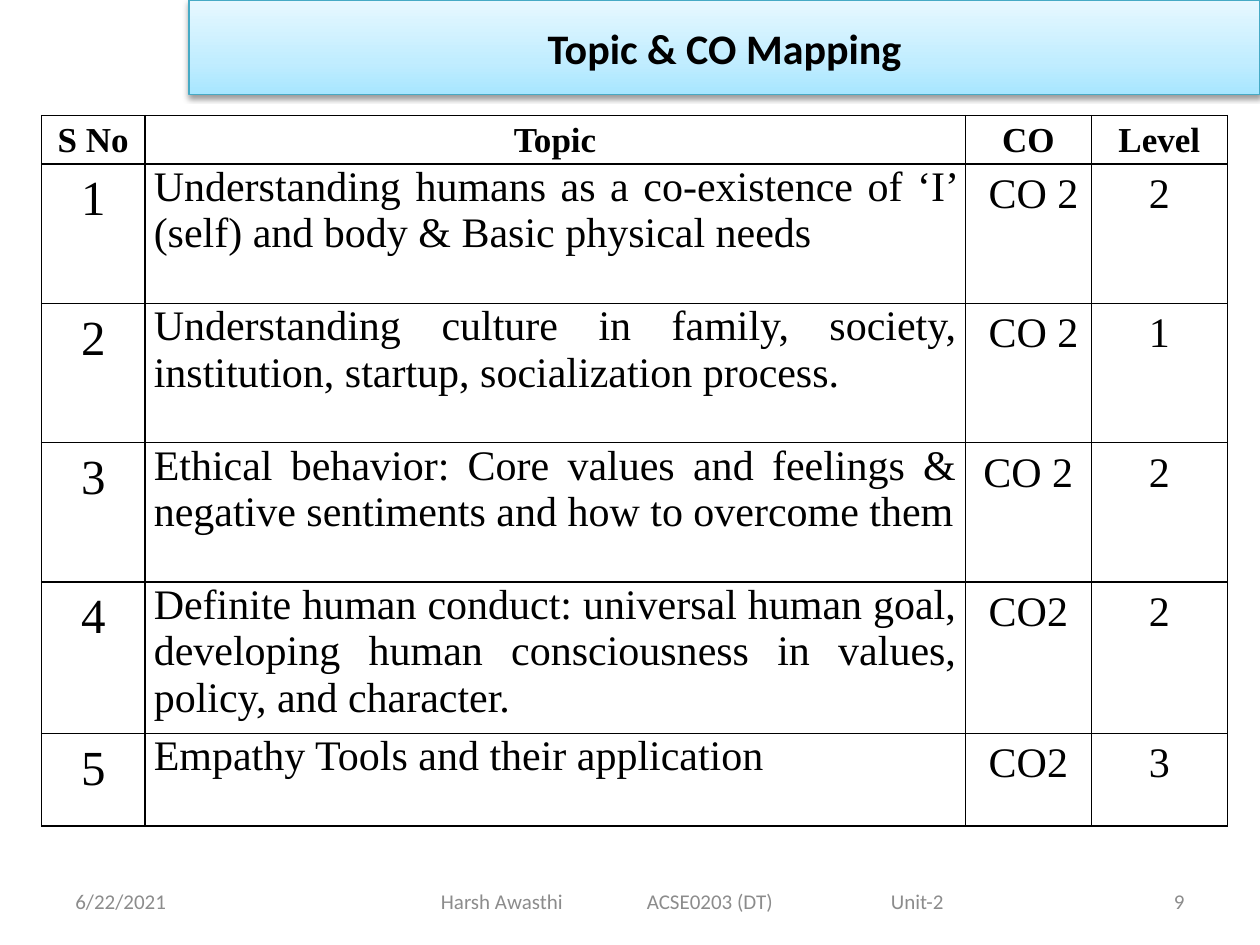
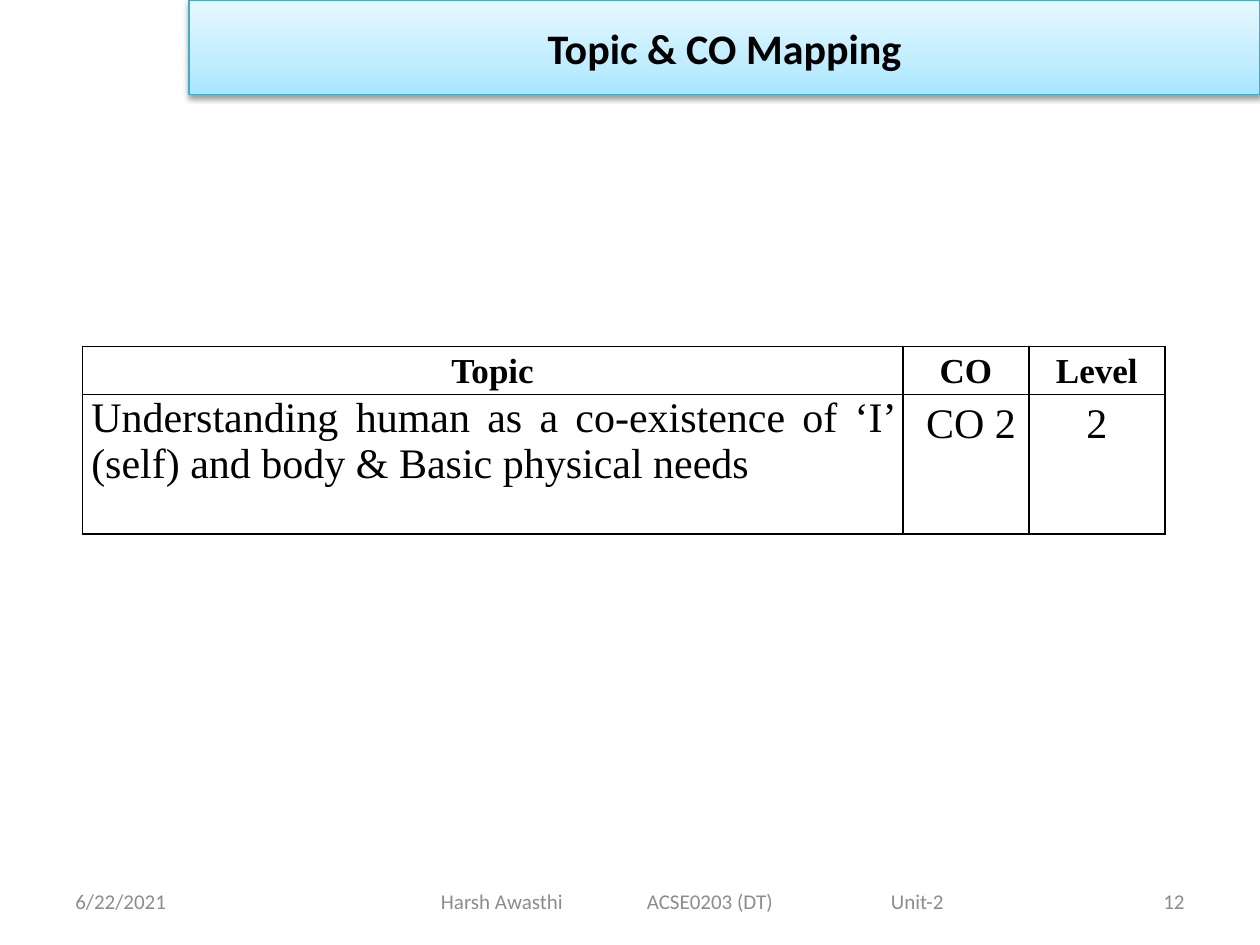
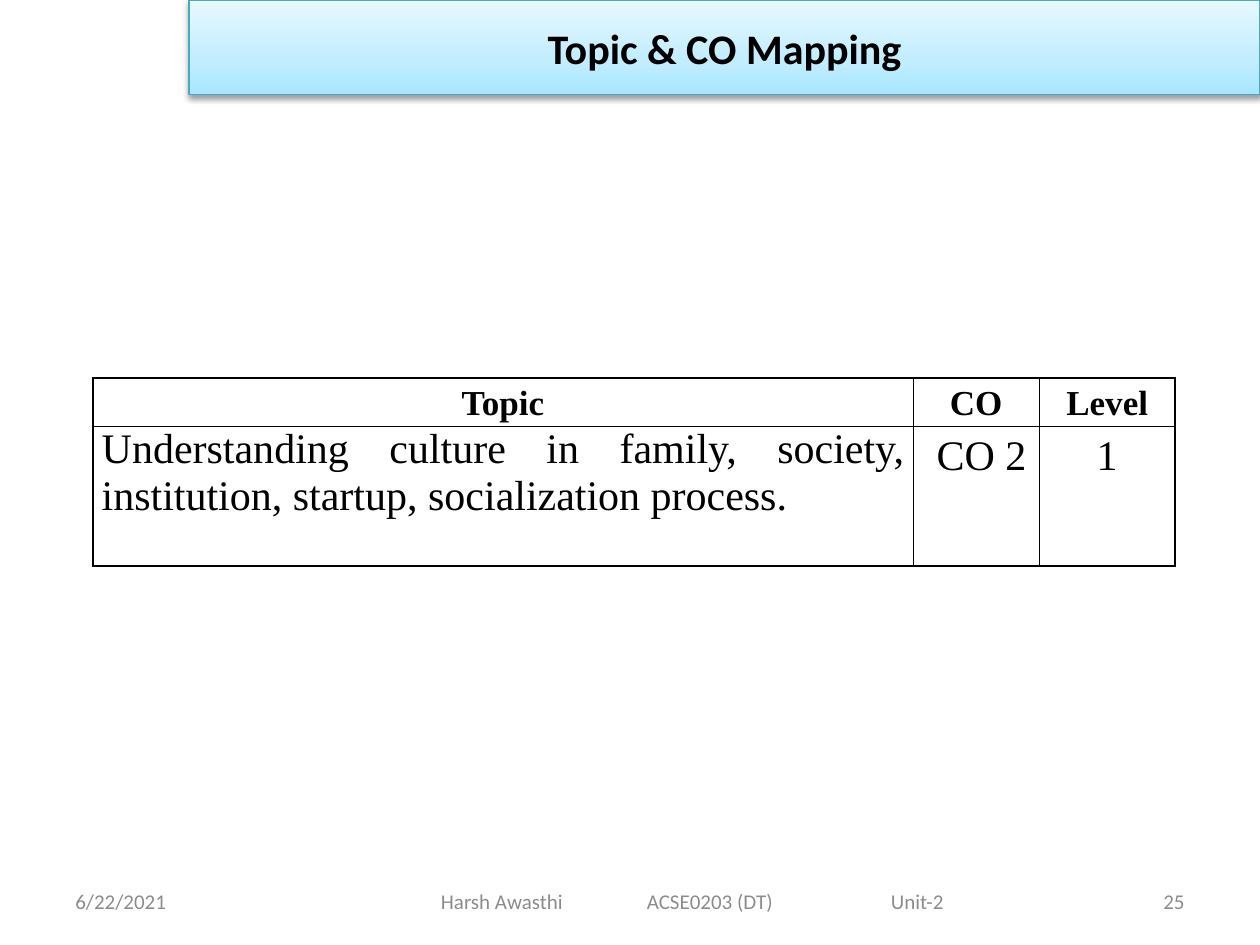
from pptx import Presentation
from pptx.dml.color import RGBColor
from pptx.enum import text
from pptx.oxml import parse_xml
from pptx.oxml.ns import nsdecls
from pptx.util import Cm, Pt

# Content
TITLE = "Topic & CO Mapping"
DATE = "6/22/2021"
FOOTER = "Harsh Awasthi\tACSE0203 (DT)\tUnit-2"
HEADINGS = ["S No", "Topic", "CO", "Level"]
CULTURE = "Understanding culture in family, society, institution, startup, socialization process."
ALL_TOPICS = [
    ("1", "Understanding humans as a co-existence of ‘I’ (self) and body & Basic physical needs", " CO 2", "2"),
    ("2", CULTURE, " CO 2", "1"),
    ("3", "Ethical behavior: Core values and feelings & negative sentiments and how to overcome them", "CO 2", "2"),
    ("4", "Definite human conduct: universal human goal, developing human consciousness in values, "
          "policy, and character.", "CO2", "2"),
    ("5", "Empathy Tools and their application", "CO2", "3"),
]
SELF_TOPIC = [("Understanding human as a co-existence of ‘I’ (self) and body & Basic physical needs", " CO 2", "2")]
CULTURE_TOPIC = [(CULTURE, " CO 2", "1")]

# Page number, table left and top in cm, table rows
PAGES = [
    ("9", 0.84, 2.33, ALL_TOPICS),
    ("12", 1.66, 6.98, SELF_TOPIC),
    ("25", 1.87, 7.62, CULTURE_TOPIC),
]

# Shared style
BLACK = RGBColor(0x00, 0x00, 0x00)
GREY = RGBColor(0x8C, 0x8C, 0x8C)
BAND_LINE = RGBColor(0x46, 0xAA, 0xC5)
BAND_STOPS = [(0, RGBColor(0xA7, 0xE6, 0xFF)), (35, RGBColor(0xC1, 0xED, 0xFF)), (100, RGBColor(0xE7, 0xF8, 0xFF))]
SANS, SERIF = "Calibri", "Times New Roman"
COLUMN_WIDTHS = {"S No": 2.08, "Topic": 16.54, "CO": 2.54, "Level": 2.74}
HEADER_HEIGHT, ROW_HEIGHT, SHORT_ROW_HEIGHT = 0.9, 2.81, 1.87
SHORT_TOPIC = 40
FOOTER_TOP, FOOTER_HEIGHT = 17.65, 1.02
FOOTER_TABS = (4.15, 9.07)
ALIGN = text.PP_ALIGN


def set_font(para, name, size, color, bold=False):
    font = para.font
    font.name, font.size, font.bold = name, Pt(size), bold
    font.color.rgb = color


def add_title_band(page):
    band = page.shapes.title
    band.left, band.top, band.width, band.height = Cm(3.81), Cm(0), Cm(21.59), Cm(1.91)
    stops = "".join(f'<a:gs pos="{place * 1000}"><a:srgbClr val="{color}"/></a:gs>' for place, color in BAND_STOPS)
    properties = band.element.spPr
    properties.append(parse_xml(
        f'<a:gradFill {nsdecls("a")} rotWithShape="1"><a:gsLst>{stops}</a:gsLst>'
        '<a:lin ang="16200000" scaled="1"/></a:gradFill>'))
    band.line.color.rgb = BAND_LINE
    band.line.width = Pt(0.75)
    properties.append(parse_xml(
        f'<a:effectLst {nsdecls("a")}><a:outerShdw blurRad="40000" dist="20000" dir="5400000" rotWithShape="0">'
        '<a:srgbClr val="000000"><a:alpha val="38000"/></a:srgbClr></a:outerShdw></a:effectLst>'))
    frame = band.text_frame
    frame.text = TITLE
    frame.vertical_anchor = text.MSO_ANCHOR.MIDDLE
    para = frame.paragraphs[0]
    para.alignment = ALIGN.CENTER
    set_font(para, SANS, 24, BLACK, bold=True)


def add_footer_text(page, words, left, width, align=ALIGN.LEFT, indent=0.25, tabs=()):
    box = page.shapes.add_textbox(Cm(left), Cm(FOOTER_TOP), Cm(width), Cm(FOOTER_HEIGHT))
    frame = box.text_frame
    frame.word_wrap = True
    frame.vertical_anchor = text.MSO_ANCHOR.MIDDLE
    frame.margin_left = Cm(indent)
    para = frame.paragraphs[0]
    para.text = words
    para.alignment = align
    if tabs:
        stops = "".join(f'<a:tab pos="{Cm(tab)}" algn="l"/>' for tab in tabs)
        para._p.get_or_add_pPr().append(parse_xml(f'<a:tabLst {nsdecls("a")}>{stops}</a:tabLst>'))
    set_font(para, SANS, 12, GREY)


def add_footer(page, number):
    add_footer_text(page, DATE, 1.27, 5.93)
    add_footer_text(page, FOOTER, 6.99, 13.97, indent=1.9, tabs=FOOTER_TABS)
    add_footer_text(page, number, 18.2, 5.93, ALIGN.RIGHT)


def fill_cell(cell, words, heading, is_header):
    cell.margin_left = cell.margin_right = Cm(0.18)
    cell.margin_top = cell.margin_bottom = 0
    for side in "LRTB":
        cell._tc.get_or_add_tcPr().append(parse_xml(
            f'<a:ln{side} {nsdecls("a")} w="12700"><a:solidFill><a:srgbClr val="{BLACK}"/></a:solidFill></a:ln{side}>'))
    cell.fill.background()
    cell.text = words
    para = cell.text_frame.paragraphs[0]
    if heading == "Topic" and not is_header:
        para.alignment = ALIGN.JUSTIFY
    else:
        para.alignment = ALIGN.CENTER
        para.line_spacing = 1.15
    size = 20 if is_header else 28 if heading == "S No" else 24
    set_font(para, SERIF, size, BLACK, bold=is_header)


def add_topic_table(page, left, top, topics):
    headings = HEADINGS[-len(topics[0]):]
    widths = [COLUMN_WIDTHS[heading] for heading in headings]
    topic_column = headings.index("Topic")
    heights = [HEADER_HEIGHT] + [
        SHORT_ROW_HEIGHT if len(topic[topic_column]) < SHORT_TOPIC else ROW_HEIGHT for topic in topics]
    table = page.shapes.add_table(
        len(heights), len(widths), Cm(left), Cm(top), Cm(sum(widths)), Cm(sum(heights))).table
    table.first_row = table.horz_banding = False
    for column, width in zip(table.columns, widths):
        column.width = Cm(width)
    for index, (row, height, values) in enumerate(zip(table.rows, heights, [headings, *topics])):
        row.height = Cm(height)
        for cell, words, heading in zip(row.cells, values, headings):
            fill_cell(cell, words, heading, is_header=index == 0)


def main():
    deck = Presentation()
    deck.slide_width, deck.slide_height = Cm(25.4), Cm(19.05)
    title_only = deck.slide_layouts[5]
    for number, left, top, topics in PAGES:
        page = deck.slides.add_slide(title_only)
        add_title_band(page)
        add_footer(page, number)
        add_topic_table(page, left, top, topics)
    deck.save("out.pptx")


if __name__ == "__main__":
    main()
